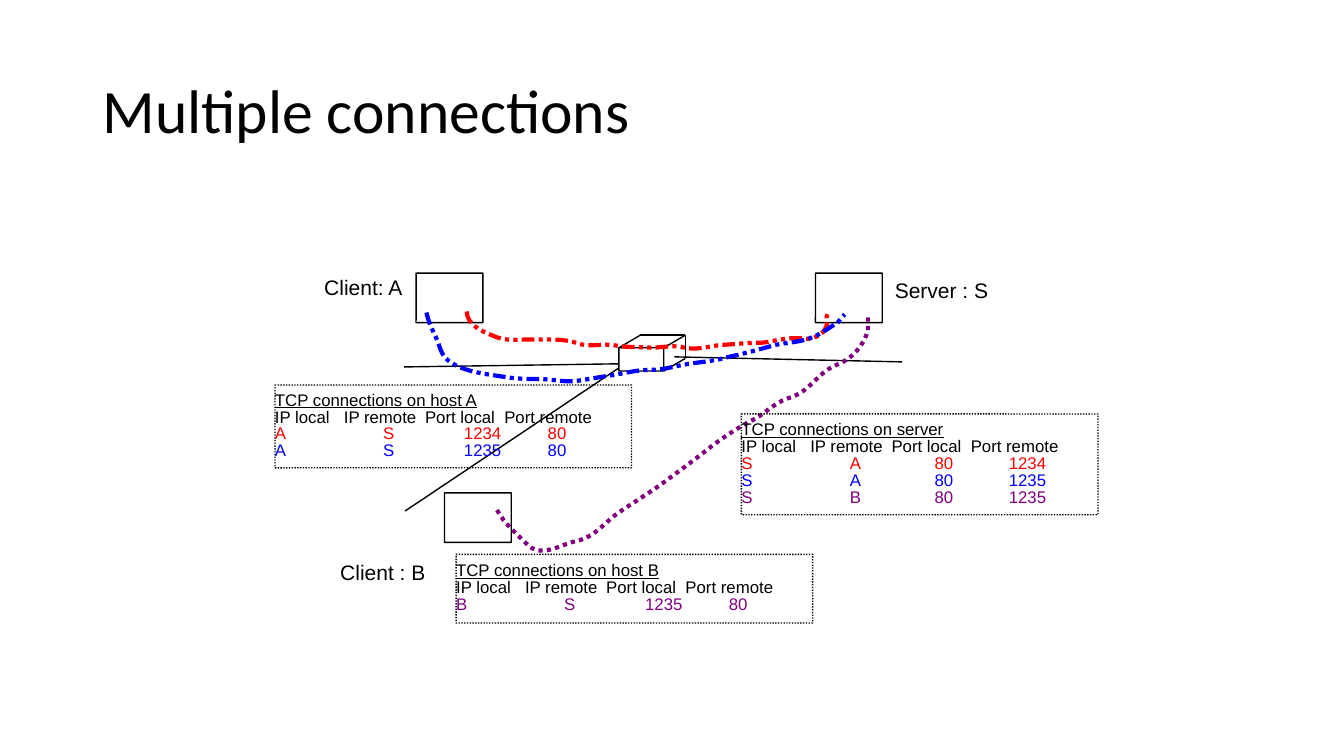
from lxml import etree
from pptx import Presentation
from pptx.dml.color import RGBColor
from pptx.enum import dml, shapes, text
from pptx.oxml.ns import qn
from pptx.util import Pt

BLACK, RED, BLUE, PURPLE = "000000", "FF0000", "0000FF", "800080"

TITLE = ("Multiple connections", (66.2, 28.8, 828, 104.4))
LABELS = [
    ("Client: A", (231.6, 198.9, 56.9, 15.8)),
    ("Client : B", (243, 402.5, 61.2, 15.8)),
    ("Server : S", (639.2, 201.1, 67.7, 15.8)),
]
HOST_SIZE = (47.7, 35.3)
HOSTS = [(297.2, 195.1), (582.5, 195.1), (317.5, 352.1)]
ROUTER = (442.1, 248.4, 32.1, 16.6)
ROUTER_DEPTH = (15.3, -9)
LINKS = [
    ((288.7, 262.1), (441.4, 259.9)),
    ((289.4, 365), (442.1, 262.8)),
    ((481.7, 254.9), (644.4, 258.5)),
]
CONNECTIONS = [
    (RED, "sysDashDotDot", 26.6, (333.4, 222.5), [
        (333.4, 231.8, 344.2, 236.9, 352.1, 239.8),
        (362.2, 244.8, 373, 241.9, 383.8, 242.6),
        (393.1, 242.6, 403.2, 241.9, 413.3, 245.5),
        (421.9, 248.4, 431.3, 244.8, 440.6, 247),
        (449.3, 248.4, 457.2, 247.7, 465.1, 248.4),
        (473, 248.4, 481.7, 246.2, 488.9, 248.4),
        (500.4, 250.6, 509, 246.2, 519.8, 246.2),
        (528.5, 245.5, 536.4, 244.8, 545, 244.8),
        (554.4, 243.4, 564.5, 240.5, 573.8, 241.9),
        (584.6, 243.4, 593.3, 234.7, 590.4, 226.1),
        (591.8, 223.9)]),
    (BLUE, "sysDashDotDot", 49, (304.6, 223.2), [
        (306, 230.4, 309.6, 236.9, 312.5, 243.4),
        (314.6, 249.1, 315.4, 254.9, 322.6, 259.2),
        (332.6, 265.7, 347, 267.1, 360.7, 269.3),
        (369.4, 270.7, 378, 270.7, 387.4, 270.7),
        (396, 271.4, 403.9, 272.9, 411.1, 272.2),
        (420.5, 270.7, 429.1, 269.3, 438.5, 267.8),
        (447.1, 266.4, 455, 264.2, 464.4, 264.2),
        (474.5, 264.2, 482.4, 261.4, 491.8, 259.9),
        (501.1, 258.5, 511.2, 257.8, 520.6, 254.9),
        (531.4, 252.7, 541.4, 249.8, 551.5, 247),
        (559.4, 244.8, 568.1, 244.8, 575.3, 242.6),
        (585.4, 239.8, 591.1, 234.7, 598.3, 230.4),
        (601.9, 226.1), (603.4, 224.6)]),
    (PURPLE, "sysDot", 169.2, (355, 364.3), [
        (360, 373.7, 368.6, 380.9, 375.8, 388.1),
        (385.9, 399.6, 400.3, 388.8, 411.1, 386.6),
        (424.8, 383.8, 431.3, 373.7, 441.4, 366.5),
        (452.9, 358.6, 465.1, 351.4, 476.6, 342.7),
        (487.4, 334.8, 498.2, 326.9, 509, 318.2),
        (517.7, 311.8, 526.3, 306, 535.7, 301),
        (545.8, 296.6, 552.2, 288, 563, 284.4),
        (578.9, 280.1, 583.2, 266.4, 597.6, 260.6),
        (609.1, 256.3, 617, 246.2, 619.9, 236.2),
        (619.9, 229), (619.9, 223.9)]),
]
HEADER = ("IP local", "IP remote", "Port local", "Port remote")
HEADER_TABS = (49.2, 107.2, 163.8)
SERVER_TABS = (77.5, 138, 191)
CLIENT_TABS = (77.2, 135, 194.8)
PANEL_WIDTH, PANEL_PAD = 254.7, 6.5
PANELS = [
    ("TCP connections on server", (529.6, 295.7), 72, SERVER_TABS, [
        (RED, ("S", "A", "80", "1234")),
        (BLUE, ("S", "A", "80", "1235")),
        (PURPLE, ("S", "B", "80", "1235"))]),
    ("TCP connections on host A", (196.4, 275), 59.2, CLIENT_TABS, [
        (RED, ("A", "S", "1234", "80")),
        (BLUE, ("A", "S", "1235", "80"))]),
    ("TCP connections on host B", (325.8, 396), 49, CLIENT_TABS, [
        (PURPLE, ("B", "S", "1235", "80"))]),
]


def rgb(value):
    return RGBColor.from_string(value)


def put(target, **values):
    for name, value in values.items():
        setattr(target, name, value)


def stroke(sp, color=BLACK, width=1, dash=None):
    sp.line.color.rgb = rgb(color)
    sp.line.width = Pt(width)
    if dash:
        sp.line.dash_style = dml.MSO_LINE.ROUND_DOT
        sp.line._ln.find(qn("a:prstDash")).set("val", dash)


def textbox(parent, bounds, inset=0, wrap=True, anchor=text.MSO_ANCHOR.MIDDLE):
    tf = parent.shapes.add_textbox(*map(Pt, bounds)).text_frame
    put(tf, word_wrap=wrap, vertical_anchor=anchor, margin_left=Pt(inset),
        margin_right=Pt(inset), margin_top=Pt(inset / 2), margin_bottom=Pt(inset / 2))
    return tf


def write(p, line, size, font="Arial", color=BLACK, spacing=0.84, tabs=(), underline=None):
    p.line_spacing = spacing
    if tabs:
        tab_list = etree.SubElement(p._p.get_or_add_pPr(), qn("a:tabLst"))
        for stop in tabs:
            etree.SubElement(tab_list, qn("a:tab"), pos=str(Pt(stop)), algn="l")
    r = p.add_run()
    r.text = line
    put(r.font, name=font, size=Pt(size), underline=underline)
    r.font.color.rgb = rgb(color)


def box(parent, bounds, dash=None):
    sp = parent.shapes.add_shape(shapes.MSO_SHAPE.ROUNDED_RECTANGLE, *map(Pt, bounds))
    sp.adjustments[0] = 0.003
    sp.shadow.inherit = False
    sp.fill.background()
    stroke(sp, dash=dash)


def segment(parent, start, end):
    sp = parent.shapes.add_connector(shapes.MSO_CONNECTOR.STRAIGHT, *map(Pt, start + end))
    etree.SubElement(sp._element.spPr, qn("a:effectLst"))
    stroke(sp)


def connection(slide, color, dash, height, start, steps):
    ends = [step[-2:] for step in steps]
    left, top = map(min, zip(start, *ends))
    builder = slide.shapes.build_freeform(*(v * 100 for v in start), scale=Pt(1) / 100)
    builder.add_line_segments([(x * 100, y * 100) for x, y in ends], close=False)
    sp = builder.convert_to_shape()
    sp.height = Pt(height)
    outline = sp._element.find(".//" + qn("a:path"))
    outline.set("h", str(round(height * 100)))
    for piece, step in zip(outline.findall(qn("a:lnTo")), steps):
        if len(step) == 6:
            curve = etree.Element(qn("a:cubicBezTo"))
            for x, y in zip(step[::2], step[1::2]):
                etree.SubElement(curve, qn("a:pt"), x=str(round((x - left) * 100)),
                                 y=str(round((y - top) * 100)))
            outline.replace(piece, curve)
    sp.shadow.inherit = False
    sp.fill.background()
    stroke(sp, color, 3, dash)


def router(slide):
    group = slide.shapes.add_group_shape()
    x, y, w, h = ROUTER
    dx, dy = ROUTER_DEPTH
    box(group, ROUTER)
    front = [(x, y), (x + w, y), (x + w, y + h)]
    back = [(px + dx, py + dy) for px, py in front]
    for start, end in [*zip(front, back), *zip(back, back[1:])]:
        segment(group, start, end)


def panel(slide, heading, corner, height, tabs, rows):
    group = slide.shapes.add_group_shape()
    x, y = corner
    box(group, (x, y, PANEL_WIDTH, height), "sysDot")
    tf = textbox(group, (x, y + PANEL_PAD, PANEL_WIDTH, height - 2 * PANEL_PAD))
    write(tf.paragraphs[0], heading, 12, underline=True)
    write(tf.add_paragraph(), "\t".join(HEADER), 12, tabs=HEADER_TABS)
    for color, cells in rows:
        write(tf.add_paragraph(), "\t".join(cells), 12, color=color, tabs=tabs)


def main():
    prs = Presentation()
    put(prs, slide_width=Pt(960), slide_height=Pt(540))
    slide = prs.slides.add_slide(prs.slide_layouts[6])

    title, bounds = TITLE
    tf = textbox(slide, bounds, inset=7.2)
    write(tf.paragraphs[0], title, 44, font="Calibri", spacing=0.9)
    router(slide)
    for link in LINKS:
        segment(slide, *link)
    for label, bounds in LABELS:
        tf = textbox(slide, bounds, wrap=False, anchor=text.MSO_ANCHOR.TOP)
        write(tf.paragraphs[0], label, 15)
    for corner in HOSTS:
        box(slide, corner + HOST_SIZE)
    for route in CONNECTIONS:
        connection(slide, *route)
    for details in PANELS:
        panel(slide, *details)
    prs.save("out.pptx")


if __name__ == "__main__":
    main()
